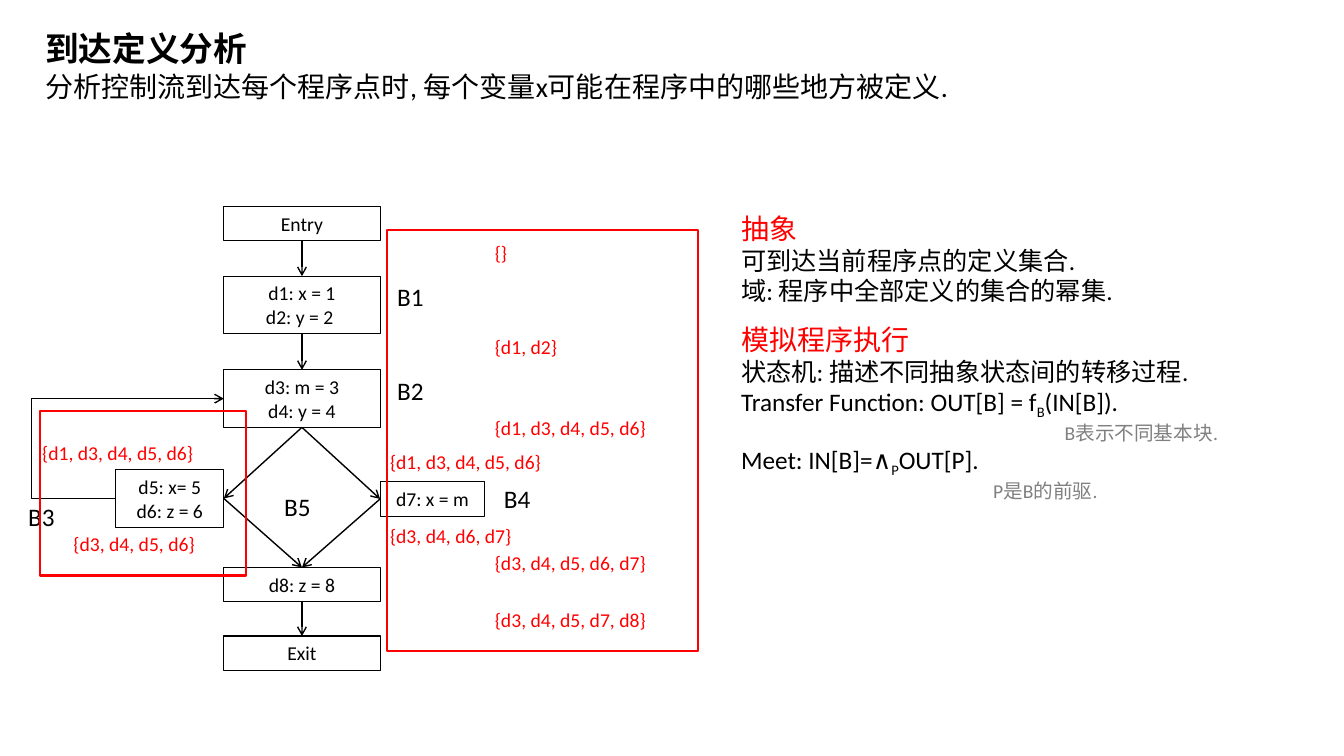
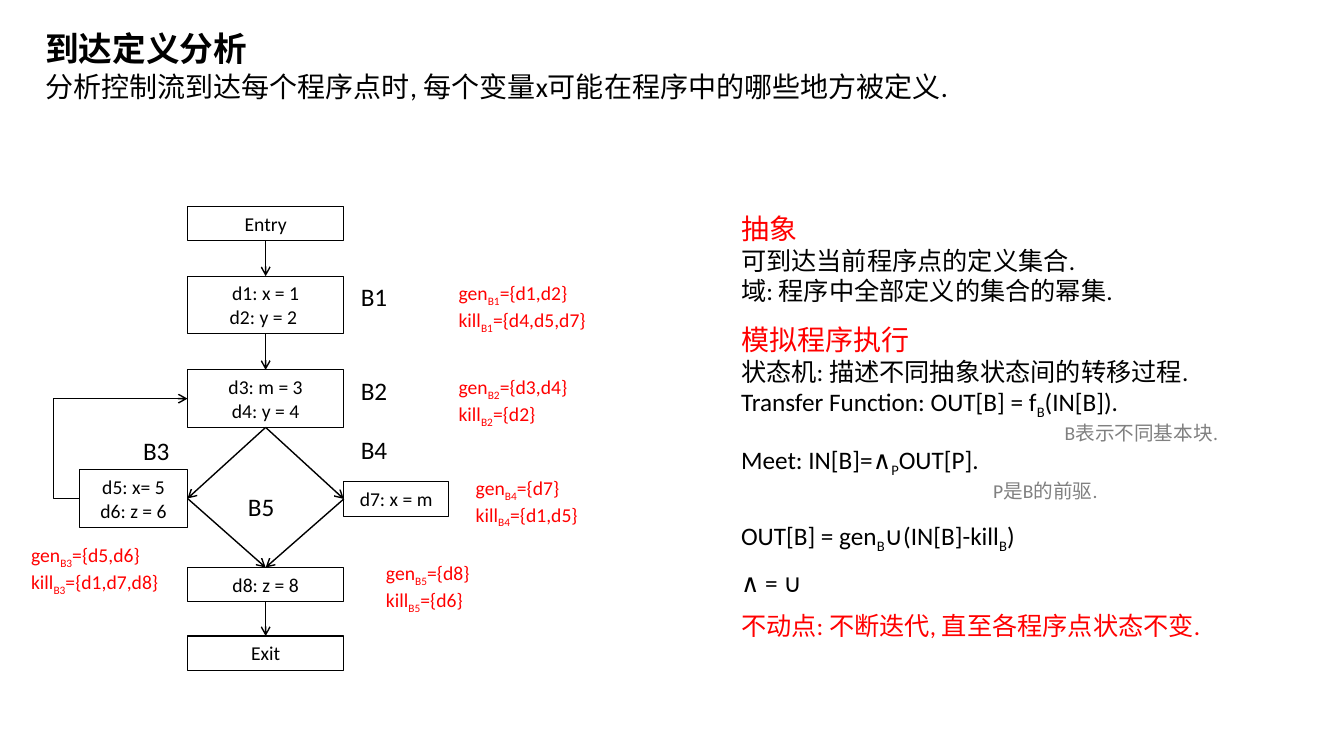
from pptx import Presentation
from pptx.dml.color import RGBColor
from pptx.enum.shapes import MSO_CONNECTOR as Link, MSO_SHAPE as Form
from pptx.enum.text import MSO_ANCHOR as Anchor, MSO_AUTO_SIZE as Fit, PP_ALIGN as Align
from pptx.oxml.ns import qn
from pptx.util import Inches, Pt
from lxml.etree import SubElement as Sub

BLACK = RGBColor(0, 0, 0)
RED = RGBColor(255, 0, 0)
GREY = RGBColor(128, 128, 128)
FONT = "Calibri"
CELL = Inches(0.1)  # one column or row of the slide grid
TOP, LEFT, BOTTOM, RIGHT = range(4)  # connection sites of a rectangle

# Layout placeholders: index -> column, row, columns, rows
ZONES = {
    0: (3.5, 2.3, 118.9, 4.5),
    1: (3.5, 6.4, 118.9, 4.5),
    2: (72.5, 20.5, 53, 10.4),
    3: (72.5, 31.5, 53, 18.2),
    4: (72.5, 51.1, 53, 12.7),
}

# Flow graph: name -> text, column, row, columns, rows
NODES = {
    "entry": ("Entry", 0, 0, 15.5, 3.4),
    "B1": ("d1: x = 1\nd2: y = 2 ", 0, 6.9, 15.5, 5.7),
    "B2": ("d3: m = 3\nd4: y = 4", 0, 16.2, 15.5, 5.7),
    "B3": ("d5: x= 5\nd6: z = 6", -10.7, 26.1, 10.7, 5.7),
    "B4": ("d7: x = m", 15.5, 27.3, 10.4, 3.4),
    "B5": ("d8: z = 8", 0, 35.8, 15.5, 3.4),
    "exit": ("Exit", 0, 42.6, 15.5, 3.4),
}
EDGES = [
    ("entry", BOTTOM, "B1", TOP),
    ("B1", BOTTOM, "B2", TOP),
    ("B2", BOTTOM, "B4", LEFT),
    ("B2", BOTTOM, "B3", RIGHT),
    ("B3", RIGHT, "B5", TOP),
    ("B4", LEFT, "B5", TOP),
    ("B5", BOTTOM, "exit", TOP),
]
TAGS = [("B1", 16.2, 6.9), ("B2", 16.2, 16.2), ("B5", 5, 27.8)]

# Text rows: text, size, colour, indent in columns
TITLE = [("到达定义分析", 24, BLACK, 0)]
LEAD = [("分析控制流到达每个程序点时, 每个变量x可能在程序中的哪些地方被定义.", 20, BLACK, 0)]
DOMAIN = [
    ("抽象", 20, RED, 0),
    ("可到达当前程序点的定义集合.", 18, BLACK, 0),
    ("域: 程序中全部定义的集合的幂集.", 18, BLACK, 0),
]
MODEL = [
    ("模拟程序执行", 20, RED, 0),
    ("状态机: 描述不同抽象状态间的转移过程.", 18, BLACK, 0),
    ("Transfer Function: OUT[B] = f_B_(IN[B]).", 18, BLACK, 0),
    ("B表示不同基本块.", 14, GREY, 32.1),
    ("Meet: IN[B]=∧_P_OUT[P].", 18, BLACK, 0),
    ("P是B的前驱.", 14, GREY, 25),
]
RULES = [
    ("OUT[B] = gen_B_∪(IN[B]-kill_B_)", 18, BLACK, 0),
    ("∧ = ∪", 18, BLACK, 0),
    ("不动点: 不断迭代, 直至各程序点状态不变.", 18, RED, 0),
]

# Slide 1: sets of reaching definitions, and the frames around them
SETS = [
    ("{}", 25.9, 2.9),
    ("{d1, d2}", 25.9, 12.2),
    ("{d1, d3, d4, d5, d6}", 25.9, 20.3),
    ("{d1, d3, d4, d5, d6}", 15.5, 23.6),
    ("{d1, d3, d4, d5, d6}", -19, 22.8),
    ("{d3, d4, d5, d6}", -15.9, 31.8),
    ("{d3, d4, d6, d7}", 15.5, 31),
    ("{d3, d4, d5, d6, d7}", 25.9, 33.7),
    ("{d3, d4, d5, d7, d8}", 25.9, 39.3),
]
FRAMES = [(16.2, 2.3, 30.8, 41.8), (-18.2, 20.3, 20.4, 16.3)]

# Slide 2: block, gen set, kill set, column, row
GENS = [
    ("B1", "d1,d2", "d4,d5,d7", 25.9, 6.9),
    ("B2", "d3,d4", "d2", 25.9, 16.2),
    ("B3", "d5,d6", "d1,d7,d8", -16.5, 32.9),
    ("B4", "d7", "d1,d5", 27.6, 26.2),
    ("B5", "d8", "d6", 18.7, 34.7),
]


def cells(*nums):
    return [round(n * CELL) for n in nums]


def write(frame, rows, align=Align.LEFT, gap=0, bold=False):
    """Fill a text frame; text between underscores is set as a subscript."""
    frame.word_wrap = True
    frame.auto_size = Fit.NONE
    for i, (text, size, color, dent) in enumerate(rows):
        para = frame.paragraphs[0] if i == 0 else frame.add_paragraph()
        para.alignment = align
        para.space_before = Pt(gap if i else 0)
        font = para.font
        font.name, font.size, font.bold = FONT, Pt(size), bold
        font.color.rgb = color
        props = para._p.get_or_add_pPr()
        props.set("marL", str(round(dent * CELL)))
        props.set("indent", "0")
        props.insert_element_before(
            props.makeelement(qn("a:buNone"), {}), "a:tabLst", "a:defRPr", "a:extLst")
        for j, part in enumerate(text.split("_")):
            if part:
                run = para.add_run()
                run.text = part
                if j % 2:
                    run._r.get_or_add_rPr().set("baseline", "-25000")


def label(slide, text, box, size, color):
    shape = slide.shapes.add_textbox(*cells(*box))
    write(shape.text_frame, [(row, size, color, 0) for row in text.split("\n")])


def rect(slide, box, color, width):
    shape = slide.shapes.add_shape(Form.RECTANGLE, *cells(*box))
    shape.shadow.inherit = False
    shape.fill.background()
    shape.line.color.rgb = color
    shape.line.width = Pt(width)
    return shape


def arrow(slide, kind, start, out, end, into):
    line = slide.shapes.add_connector(kind, 0, 0, 0, 0)
    line.begin_connect(start, out)
    line.end_connect(end, into)
    line.line.color.rgb = BLACK
    line.line.width = Pt(1)
    Sub(line.line._get_or_add_ln(), qn("a:tailEnd"), type="arrow")
    Sub(line._element.spPr, qn("a:effectLst"))
    return line


def flow(slide, x, y, bend, tags):
    """Draw the flow graph from its corner; bend places the back edge."""
    nodes = {}
    for name, (text, dx, dy, w, h) in NODES.items():
        node = rect(slide, (x + dx, y + dy, w, h), BLACK, 0.75)
        node.text_frame.vertical_anchor = Anchor.MIDDLE
        write(node.text_frame, [(row, 14, BLACK, 0) for row in text.split("\n")], Align.CENTER)
        nodes[name] = node
    for start, out, end, into in EDGES:
        arrow(slide, Link.STRAIGHT, nodes[start], out, nodes[end], into)
    # Back edge of the loop
    back = arrow(slide, Link.ELBOW, nodes["B3"], LEFT, nodes["B2"], LEFT)
    guides = back._element.spPr.find(qn("a:prstGeom")).get_or_add_avLst()
    Sub(guides, qn("a:gd"), name="adj1", fmla=f"val {bend}")
    for text, dx, dy in TAGS + tags:
        label(slide, text, (x + dx, y + dy, 5.5, 4), 18, BLACK)


def page(deck, layout, *texts):
    """Add a slide and fill its placeholders; drop the ones left over."""
    slide = deck.slides.add_slide(layout)
    for i, holder in enumerate(list(slide.placeholders)):
        if i < len(texts):
            write(holder.text_frame, texts[i], gap=9 if texts[i] is RULES else 0, bold=i == 0)
            holder.text_frame.vertical_anchor = Anchor.TOP
        else:
            holder._element.getparent().remove(holder._element)
    return slide


def reach(deck, layout):
    slide = page(deck, layout, TITLE, LEAD, DOMAIN, MODEL)
    x, y = 22.2, 20.5
    flow(slide, x, y, -78100, [("B3", -20.4, 28.7), ("B4", 26.8, 27)])
    for text, dx, dy in SETS:
        label(slide, text, (x + dx, y + dy, 20.4, 3.4), 14, RED)
    for dx, dy, w, h in FRAMES:
        rect(slide, (x + dx, y + dy, w, h), RED, 1.5)


def transfer(deck, layout):
    slide = page(deck, layout, TITLE, LEAD, DOMAIN, MODEL, RULES)
    x, y = 18.6, 20.5
    flow(slide, x, y, -24200, [("B3", -5.4, 22.2), ("B4", 16.2, 22.1)])
    for name, gen, kill, dx, dy in GENS:
        text = f"gen_{name}_={{{gen}}}\nkill_{name}_={{{kill}}}"
        label(slide, text, (x + dx, y + dy, 18.3, 5.7), 14, RED)


def main():
    deck = Presentation()
    deck.slide_width, deck.slide_height = Inches(13.33), Inches(7.5)
    layout = deck.slide_layouts.get_by_name("Comparison")
    for holder in layout.placeholders:
        zone = ZONES.get(holder.placeholder_format.idx)
        if zone:
            holder.left, holder.top, holder.width, holder.height = cells(*zone)
    reach(deck, layout)
    transfer(deck, layout)
    deck.save("out.pptx")


if __name__ == "__main__":
    main()
